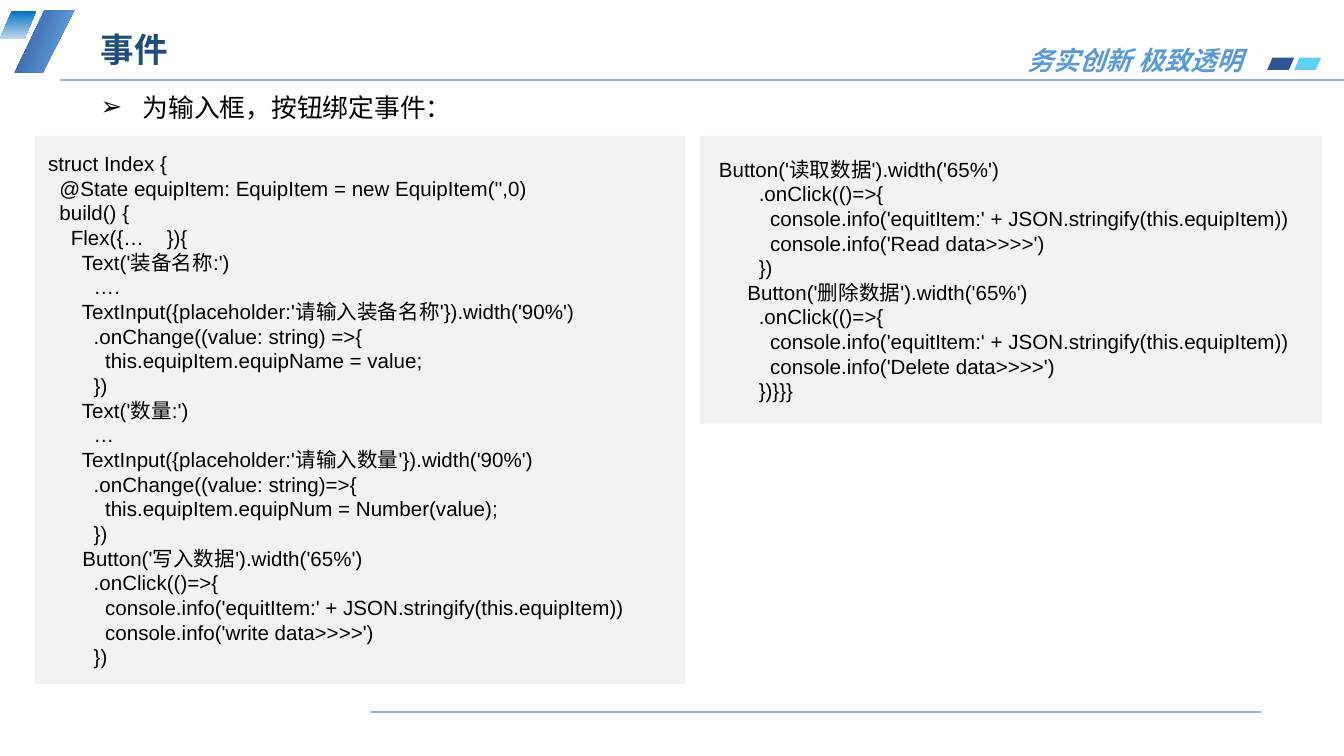
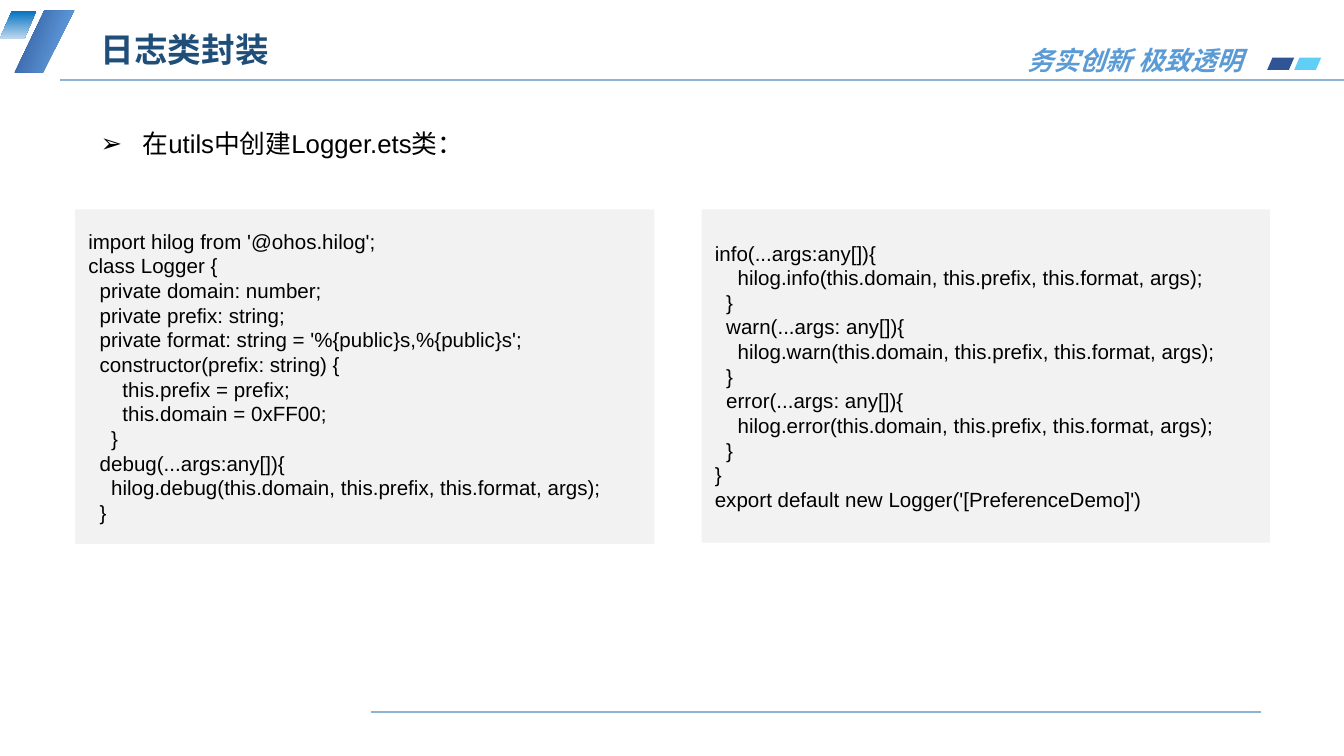
from lxml import etree
from pptx import Presentation
from pptx.dml.color import RGBColor as RGB
from pptx.enum.shapes import MSO_CONNECTOR as LINK, MSO_SHAPE as SHAPE
from pptx.enum.text import MSO_ANCHOR as ANCHOR, MSO_AUTO_SIZE as FIT, PP_ALIGN as ALIGN
from pptx.oxml.ns import qn
from pptx.util import Cm, Pt

HEX = {
    "text": "000000", "title": "1F4E79", "slogan": "5B9BD5", "rule": "8EB3D3",
    "panel": "F2F2F2", "navy": "2F5597", "cyan": "00B0F0", "sky": "6CAFEF",
    "blue": "0070C0", "pale": "BDD7EE",
}
LATIN, HAN = "Arial", "Noto Sans CJK SC"
SLOGAN = "务实创新 极致透明"

BIND = """\
struct Index {
  @State equipItem: EquipItem = new EquipItem('',0)
  build() {
    Flex({…    }){
      Text('装备名称:')
        ….
      TextInput({placeholder:'请输入装备名称'}).width('90%')
        .onChange((value: string) =>{
          this.equipItem.equipName = value;
        })
      Text('数量:')
        …
      TextInput({placeholder:'请输入数量'}).width('90%')
        .onChange((value: string)=>{
          this.equipItem.equipNum = Number(value);
        })
      Button('写入数据').width('65%')
        .onClick(()=>{
          console.info('equitItem:' + JSON.stringify(this.equipItem))
          console.info('write data>>>>')
        })"""

CLICK = """\
 Button('读取数据').width('65%')
        .onClick(()=>{
          console.info('equitItem:' + JSON.stringify(this.equipItem))
          console.info('Read data>>>>')
        })
      Button('删除数据').width('65%')
        .onClick(()=>{
          console.info('equitItem:' + JSON.stringify(this.equipItem))
          console.info('Delete data>>>>')
        })}}}"""

LOGGER = """\
import hilog from '@ohos.hilog';
class Logger {
  private domain: number;
  private prefix: string;
  private format: string = '%{public}s,%{public}s';
  constructor(prefix: string) {
      this.prefix = prefix;
      this.domain = 0xFF00;
    }
  debug(...args:any[]){
    hilog.debug(this.domain, this.prefix, this.format, args);
  }"""

LEVELS = """\
info(...args:any[]){
    hilog.info(this.domain, this.prefix, this.format, args);
  }
  warn(...args: any[]){
    hilog.warn(this.domain, this.prefix, this.format, args);
  }
  error(...args: any[]){
    hilog.error(this.domain, this.prefix, this.format, args);
  }
}
export default new Logger('[PreferenceDemo]')"""

# Boxes are left, top, width, height in centimetres.
SLIDES = [
    {"title": "事件", "point": "为输入框，按钮绑定事件：", "at": (1.65, 1.6, 12.7, 0.84),
     "code": [(BIND, (0.66, 2.57, 12.29, 10.36)), (CLICK, (13.23, 2.57, 11.76, 5.44))]},
    {"title": "日志类封装", "point": "在utils中创建Logger.ets类：", "at": (1.65, 2.29, 8.2, 0.84),
     "code": [(LOGGER, (1.42, 3.96, 10.95, 6.32)), (LEVELS, (13.26, 3.96, 10.74, 6.3))]},
]
TITLE = (1.65, 0.46, 8.92, 1.02)
MOTTO = (19.13, 0.71, 4.65, 0.86)
RULES = [(1.14, 25.4, 1.52), (7.01, 23.83, 13.46)]  # left, right, height on the slide
STRIPE = [(0.28, 1.37), (0.84, 0.2), (1.4, 0.2), (0.81, 1.37)]


def color(name):
    return RGB.from_string(HEX[name])


def cms(values):
    return [Cm(v) for v in values]


def sub(node, tag, **attrs):
    return etree.SubElement(node, qn(tag), **attrs)


def place(shape, box):
    shape.left, shape.top, shape.width, shape.height = cms(box)


def write(para, text, size, tint="text", latin=LATIN, bold=False, italic=False):
    run = para.add_run()
    run.text = text
    font = run.font
    font.name, font.size, font.bold, font.italic = latin, Pt(size), bold, italic
    font.color.rgb = color(tint)
    sub(font._element, "a:ea", typeface=HAN)


def clean(shape):
    shape.shadow.inherit = False
    shape.line.fill.background()


def solid(shape, tint):
    clean(shape)
    shape.fill.solid()
    shape.fill.fore_color.rgb = color(tint)


def blend(shape, tints, angle):
    """Fill with a two-colour gradient; the angle runs clockwise."""
    clean(shape)
    shape.fill.gradient()
    shape.fill.gradient_angle = 360 - angle
    for stop, tint in zip(shape.fill.gradient_stops, tints):
        stop.color.rgb = color(tint)


def slant(slide, box):
    shape = slide.shapes.add_shape(SHAPE.PARALLELOGRAM, *cms(box))
    shape.adjustments[0] = 0.432
    return shape


def rule(slide, left, right, top):
    line = slide.shapes.add_connector(LINK.STRAIGHT, *cms((left, top, right, top)))
    line.line.color.rgb = color("rule")
    line.line.width = Pt(1)
    sub(line._element.spPr, "a:effectLst")


def frame(slide):
    """Draw the rules, corner marks and slogan that all slides share."""
    for ends in RULES:
        rule(slide, *ends)
    for i, tint in enumerate(("navy", "cyan")):
        chip = slant(slide, (23.95 + 0.51 * i, 1.09, 0.51, 0.23))
        solid(chip, tint)
    sub(chip.fill._xPr.find(".//" + qn("a:srgbClr")), "a:alpha", val="62000")

    pen = slide.shapes.build_freeform(*cms(STRIPE[0]))
    pen.add_line_segments([cms(p) for p in STRIPE[1:]], close=True)
    blend(pen.convert_to_shape(), ("navy", "sky"), 20)
    blend(slant(slide, (0, 0.2, 0.69, 0.53)), ("blue", "pale"), 90)

    motto = slide.shapes.add_textbox(*cms(MOTTO)).text_frame
    motto.word_wrap = False
    motto.auto_size = FIT.SHAPE_TO_FIT_TEXT
    para = motto.paragraphs[0]
    para.alignment = ALIGN.CENTER
    write(para, SLOGAN, 14, "slogan", HAN, bold=True, italic=True)


def head(shape, text):
    place(shape, TITLE)
    body = shape.text_frame
    body.auto_size, body.vertical_anchor = FIT.NONE, ANCHOR.MIDDLE
    para = body.paragraphs[0]
    para.alignment, para.line_spacing = ALIGN.LEFT, 0.9
    write(para, text, 18, "title", bold=True)


def point(shape, text, box):
    place(shape, box)
    body = shape.text_frame
    body.auto_size, body.vertical_anchor = FIT.SHAPE_TO_FIT_TEXT, ANCHOR.TOP
    para = body.paragraphs[0]
    para.space_before = Pt(0)
    props = para._p.get_or_add_pPr()
    props.set("marL", str(Cm(0.79)))
    props.set("indent", str(-Cm(0.79)))
    sub(props, "a:buFont", typeface=LATIN)
    sub(props, "a:buChar", char="➢")
    write(para, text, 13.8)


def panel(slide, code, box):
    shape = slide.shapes.add_shape(SHAPE.RECTANGLE, *cms(box))
    solid(shape, "panel")
    body = shape.text_frame
    body.word_wrap, body.vertical_anchor = True, ANCHOR.MIDDLE
    for i, line in enumerate(code.split("\n")):
        para = body.add_paragraph() if i else body.paragraphs[0]
        para.alignment = ALIGN.LEFT
        write(para, line, 11)


def main():
    deck = Presentation()
    deck.slide_width, deck.slide_height = Cm(25.4), Cm(14.29)
    for item in SLIDES:
        slide = deck.slides.add_slide(deck.slide_layouts[1])
        frame(slide)
        head(slide.shapes.title, item["title"])
        point(slide.placeholders[1], item["point"], item["at"])
        for code, box in item["code"]:
            panel(slide, code, box)
    deck.save("out.pptx")


if __name__ == "__main__":
    main()
